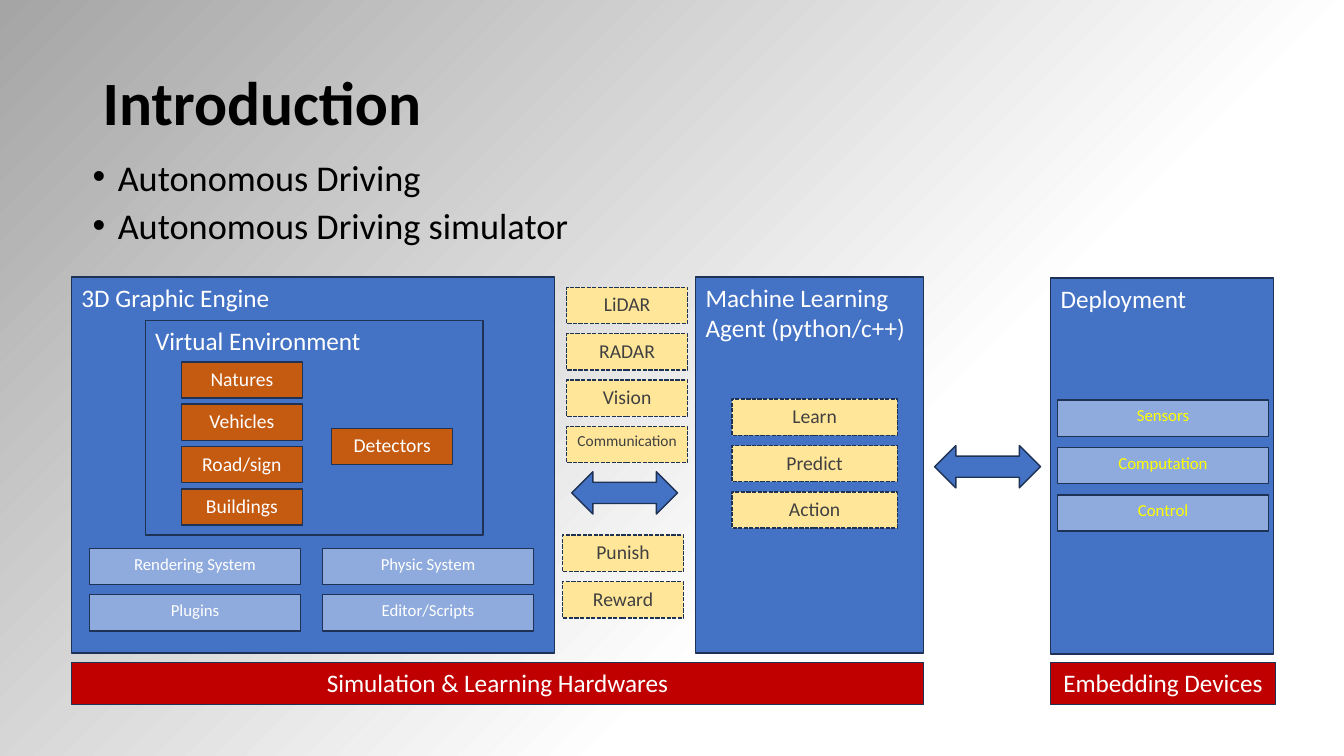
import pptx
import pptx.dml.color
import pptx.enum.dml
import pptx.enum.shapes
import pptx.enum.text
import pptx.oxml
import pptx.oxml.ns
import pptx.util

Inches = pptx.util.Inches
Pt = pptx.util.Pt
RGBColor = pptx.dml.color.RGBColor
Shapes = pptx.enum.shapes.MSO_SHAPE
Align = pptx.enum.text.PP_ALIGN
Anchor = pptx.enum.text.MSO_ANCHOR

FONT = "Calibri"
BLACK = RGBColor(0x00, 0x00, 0x00)
WHITE = RGBColor(0xFF, 0xFF, 0xFF)
YELLOW = RGBColor(0xFF, 0xFF, 0x00)
DARK_GREY = RGBColor(0x40, 0x40, 0x40)
BACKGROUND_GREY = RGBColor(0xA5, 0xA5, 0xA5)
NAVY = RGBColor(0x1E, 0x32, 0x56)
BLUE = RGBColor(0x44, 0x72, 0xC4)
LIGHT_BLUE = RGBColor(0x8F, 0xAA, 0xDC)
ORANGE = RGBColor(0xC5, 0x5A, 0x11)
CREAM = RGBColor(0xFF, 0xE6, 0x99)
RED = RGBColor(0xC0, 0x00, 0x00)

TILE_HEIGHT = 0.36
TILE_PITCH = 0.46


def paint_background(slide):
    slide.background.fill.solid()
    stops = "".join(
        f'<a:gs pos="{position}"><a:srgbClr val="{color}"/></a:gs>'
        for position, color in ((0, WHITE), (35000, WHITE), (100000, BACKGROUND_GREY))
    )
    gradient = pptx.oxml.parse_xml(
        f'<a:gradFill {pptx.oxml.ns.nsdecls("a")} rotWithShape="1"><a:gsLst>{stops}</a:gsLst>'
        '<a:path path="circle"><a:fillToRect l="100000" t="100000"/></a:path>'
        '<a:tileRect r="-100000" b="-100000"/></a:gradFill>'
    )
    properties = slide.element.find(".//" + pptx.oxml.ns.qn("p:bgPr"))
    properties.replace(properties[0], gradient)


def style_font(paragraph, size, color, bold=False):
    paragraph.font.name = FONT
    paragraph.font.size = Pt(size)
    paragraph.font.color.rgb = color
    paragraph.font.bold = bold


def add_figure(slide, kind, box, fill):
    shape = slide.shapes.add_shape(kind, *map(Inches, box))
    shape.shadow.inherit = False
    shape.fill.solid()
    shape.fill.fore_color.rgb = fill
    shape.line.color.rgb = NAVY
    shape.line.width = Pt(1)
    return shape


def add_block(slide, box, text, fill, size=18, color=WHITE, align=Align.CENTER):
    shape = add_figure(slide, Shapes.RECTANGLE, box, fill)
    frame = shape.text_frame
    frame.word_wrap = True
    frame.vertical_anchor = Anchor.TOP
    paragraph = frame.paragraphs[0]
    paragraph.text = text
    paragraph.alignment = align
    style_font(paragraph, size, color)
    return shape


def add_panel(slide, box, text):
    add_block(slide, box, text, BLUE, align=Align.LEFT)


def add_stack(slide, left, top, width, labels, fill, size, color=WHITE, pitch=TILE_PITCH):
    return [
        add_block(slide, (left, top + row * pitch, width, TILE_HEIGHT), label, fill, size, color)
        for row, label in enumerate(labels)
    ]


def add_signals(slide, left, top, width, labels):
    tiles = add_stack(slide, left, top, width, labels, CREAM, 14, DARK_GREY)
    for tile in tiles:
        tile.line.dash_style = pptx.enum.dml.MSO_LINE.SQUARE_DOT
    return tiles


def add_text_frame(slide, box):
    frame = slide.shapes.add_textbox(*map(Inches, box)).text_frame
    frame.word_wrap = True
    return frame


def build_title(slide, box):
    frame = add_text_frame(slide, box)
    frame.vertical_anchor = Anchor.MIDDLE
    paragraph = frame.paragraphs[0]
    paragraph.text = "Introduction"
    paragraph.line_spacing = 0.9
    style_font(paragraph, 44, BLACK, bold=True)


def build_topics(slide, box):
    frame = add_text_frame(slide, box)
    for index, topic in enumerate(("Autonomous Driving", "Autonomous Driving simulator")):
        paragraph = frame.add_paragraph() if index else frame.paragraphs[0]
        paragraph.text = topic
        paragraph.line_spacing = 0.8
        paragraph.space_before = Pt(10 if index else 0)
        properties = paragraph._p.get_or_add_pPr()
        properties.set("marL", str(Inches(0.25)))
        properties.set("indent", str(Inches(-0.25)))
        for tag, name, value in (("a:buFont", "typeface", "Arial"), ("a:buChar", "char", "•")):
            bullet = pptx.oxml.parse_xml(f'<{tag} {pptx.oxml.ns.nsdecls("a")} {name}="{value}"/>')
            properties.append(bullet)
        style_font(paragraph, 25.9, BLACK)


def build_environment(slide, box):
    left, top, width, height = box
    add_panel(slide, box, "Virtual Environment")
    objects = ("Natures", "Vehicles", "Road/sign", "Buildings")
    add_stack(slide, left + 0.36, top + 0.41, 1.2, objects, ORANGE, 14, pitch=0.42)
    add_stack(slide, left + 1.85, top + 1.07, 1.2, ("Detectors",), ORANGE, 14)


def build_engine(slide, box):
    left, top, width, height = box
    add_panel(slide, box, "3D Graphic Engine")
    build_environment(slide, (left + 0.73, top + 0.43, 3.35, 2.13))
    columns = (("Rendering System", "Plugins"), ("Physic System", "Editor/Scripts"))
    for column, labels in enumerate(columns):
        add_stack(slide, left + 0.18 + column * 2.31, top + 2.69, 2.09, labels, LIGHT_BLUE, 12)


def build_exchange(slide, box):
    left, top, width, height = box
    sensors = ("LiDAR", "RADAR", "Vision", "Communication")
    tiles = add_signals(slide, left + 0.04, top, 1.2, sensors)
    tiles[-1].text_frame.paragraphs[0].font.size = Pt(11)
    add_figure(slide, Shapes.LEFT_RIGHT_ARROW, (left + 0.09, top + 1.83, 1.05, 0.42), BLUE)
    add_signals(slide, left, top + 2.46, 1.2, ("Punish", "Reward"))


def build_agent(slide, box):
    left, top, width, height = box
    add_panel(slide, box, "Machine Learning Agent (python/c++)")
    add_signals(slide, left + 0.36, top + 1.21, 1.64, ("Learn", "Predict", "Action"))


def build_deployment(slide, box):
    left, top, width, height = box
    add_panel(slide, box, "Deployment")
    devices = ("Sensors", "Computation", "Control")
    add_stack(slide, left + 0.07, top + 1.21, 2.09, devices, LIGHT_BLUE, 12, YELLOW, 0.47)
    add_figure(slide, Shapes.LEFT_RIGHT_ARROW, (left - 1.15, top + 1.66, 1.05, 0.42), BLUE)


def build_hardware(slide, box):
    left, top, width, height = box
    add_block(slide, (left, top, 8.45, height), "Simulation & Learning Hardwares", RED)
    add_block(slide, (left + 9.71, top, 2.23, height), "Embedding Devices", RED)


def main():
    presentation = pptx.Presentation()
    presentation.slide_width = Inches(13.33)
    presentation.slide_height = Inches(7.5)
    slide = presentation.slides.add_slide(presentation.slide_layouts[6])
    paint_background(slide)
    build_title(slide, (0.92, 0.4, 11.5, 1.3))
    build_topics(slide, (0.82, 1.57, 11.5, 0.99))
    build_engine(slide, (0.71, 2.75, 4.79, 3.73))
    build_exchange(slide, (5.58, 2.85, 1.24, 3.27))
    build_agent(slide, (6.9, 2.75, 2.26, 3.73))
    build_deployment(slide, (10.42, 2.76, 2.21, 3.73))
    build_hardware(slide, (0.71, 6.57, 11.94, 0.42))
    presentation.save("out.pptx")


if __name__ == "__main__":
    main()
